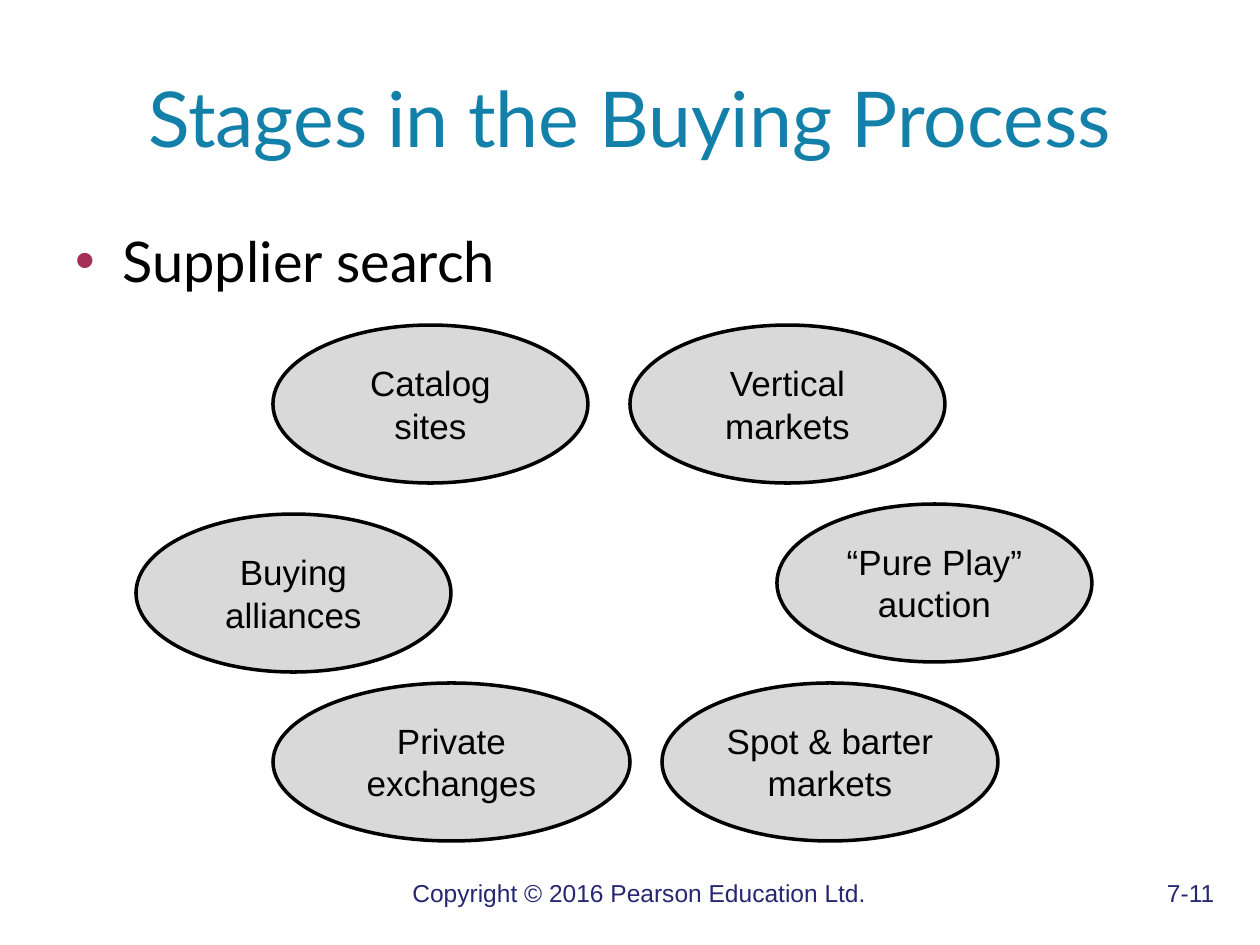
from dataclasses import dataclass

from lxml.etree import SubElement
from pptx import Presentation
from pptx.dml.color import RGBColor
from pptx.enum.shapes import MSO_SHAPE
from pptx.enum.text import MSO_ANCHOR, MSO_AUTO_SIZE, PP_ALIGN
from pptx.oxml.ns import qn
from pptx.util import Emu, Pt

PX_PER_INCH = 126
WHITE = RGBColor(0xFF, 0xFF, 0xFF)
BLACK = RGBColor(0x00, 0x00, 0x00)
TITLE_BLUE = RGBColor(0x13, 0x80, 0xAA)
BULLET_RED = RGBColor(0xA6, 0x30, 0x55)
FOOTER_NAVY = RGBColor(0x26, 0x26, 0x73)
OVAL_GREY = RGBColor(0xD9, 0xD9, 0xD9)


@dataclass(frozen=True)
class Source:
    """One way to find a supplier, drawn as an oval."""
    text: str
    left: int
    top: int
    width: int = 315


OVAL_HEIGHT = 158
SOURCES = [
    Source("Catalog sites", 273, 325),
    Source("Vertical markets", 630, 325),
    Source("“Pure Play” auction", 777, 504),
    Source("Spot & barter markets", 662, 683, 336),
    Source("Private exchanges", 273, 683, 357),
    Source("Buying alliances", 136, 514),
]


def px(length: int) -> Emu:
    return Emu(round(length * 914400 / PX_PER_INCH))


def place(shape, left: int, top: int, width: int, height: int) -> None:
    shape.left, shape.top = px(left), px(top)
    shape.width, shape.height = px(width), px(height)


def style(paragraph, name: str, size: int, color: RGBColor) -> None:
    paragraph.font.name = name
    paragraph.font.size = Pt(size)
    paragraph.font.color.rgb = color


def add_bullet(paragraph, indent: int, color: RGBColor) -> None:
    properties = paragraph._p.get_or_add_pPr()
    properties.set("marL", str(px(indent)))
    properties.set("indent", str(-px(indent)))
    bullet_color = SubElement(properties, qn("a:buClr"))
    SubElement(bullet_color, qn("a:srgbClr"), val=str(color))
    SubElement(properties, qn("a:buFont"), typeface="Arial")
    SubElement(properties, qn("a:buChar"), char="•")


def add_tabs(paragraph, stops: list[tuple[int, str]]) -> None:
    tab_list = SubElement(paragraph._p.get_or_add_pPr(), qn("a:tabLst"))
    for position, alignment in stops:
        SubElement(tab_list, qn("a:tab"), pos=str(px(position)), algn=alignment)


def add_title(slide) -> None:
    title = slide.shapes.title
    place(title, 63, 38, 1134, 157)
    frame = title.text_frame
    frame.text = "Stages in the Buying Process"
    frame.auto_size = MSO_AUTO_SIZE.NONE
    frame.vertical_anchor = MSO_ANCHOR.MIDDLE
    paragraph = frame.paragraphs[0]
    paragraph.alignment = PP_ALIGN.CENTER
    style(paragraph, "Lato", 44, TITLE_BLUE)


def add_body(slide) -> None:
    body = slide.placeholders[1]
    place(body, 63, 220, 1134, 624)
    frame = body.text_frame
    frame.text = "Supplier search"
    frame.auto_size = MSO_AUTO_SIZE.NONE
    paragraph = frame.paragraphs[0]
    add_bullet(paragraph, 47, BULLET_RED)
    paragraph.space_before = Pt(0)
    style(paragraph, "Lato", 32, BLACK)


def add_oval(slide, source: Source) -> None:
    oval = slide.shapes.add_shape(
        MSO_SHAPE.OVAL, px(source.left), px(source.top), px(source.width), px(OVAL_HEIGHT))
    oval.shadow.inherit = False
    oval.fill.solid()
    oval.fill.fore_color.rgb = OVAL_GREY
    oval.line.color.rgb = BLACK
    oval.line.width = Pt(2)
    frame = oval.text_frame
    frame.text = source.text
    frame.word_wrap = True
    frame.vertical_anchor = MSO_ANCHOR.MIDDLE
    paragraph = frame.paragraphs[0]
    paragraph.alignment = PP_ALIGN.CENTER
    style(paragraph, "Arial", 20, BLACK)


def add_footer(slide) -> None:
    """Set the copyright line and page number on a left and a right tab stop."""
    footer = slide.shapes.add_textbox(px(53), px(872), px(1176), px(66))
    frame = footer.text_frame
    frame.word_wrap = True
    frame.text = "\tCopyright © 2016 Pearson Education Ltd.\t7-11"
    paragraph = frame.paragraphs[0]
    add_tabs(paragraph, [(347, "l"), (1149, "r")])
    style(paragraph, "Arial", 14, FOOTER_NAVY)


def main() -> None:
    presentation = Presentation()
    presentation.slide_width, presentation.slide_height = px(1260), px(945)
    slide = presentation.slides.add_slide(presentation.slide_layouts[1])
    slide.background.fill.solid()
    slide.background.fill.fore_color.rgb = WHITE
    add_title(slide)
    add_body(slide)
    for source in SOURCES:
        add_oval(slide, source)
    add_footer(slide)
    presentation.save("out.pptx")


if __name__ == "__main__":
    main()
